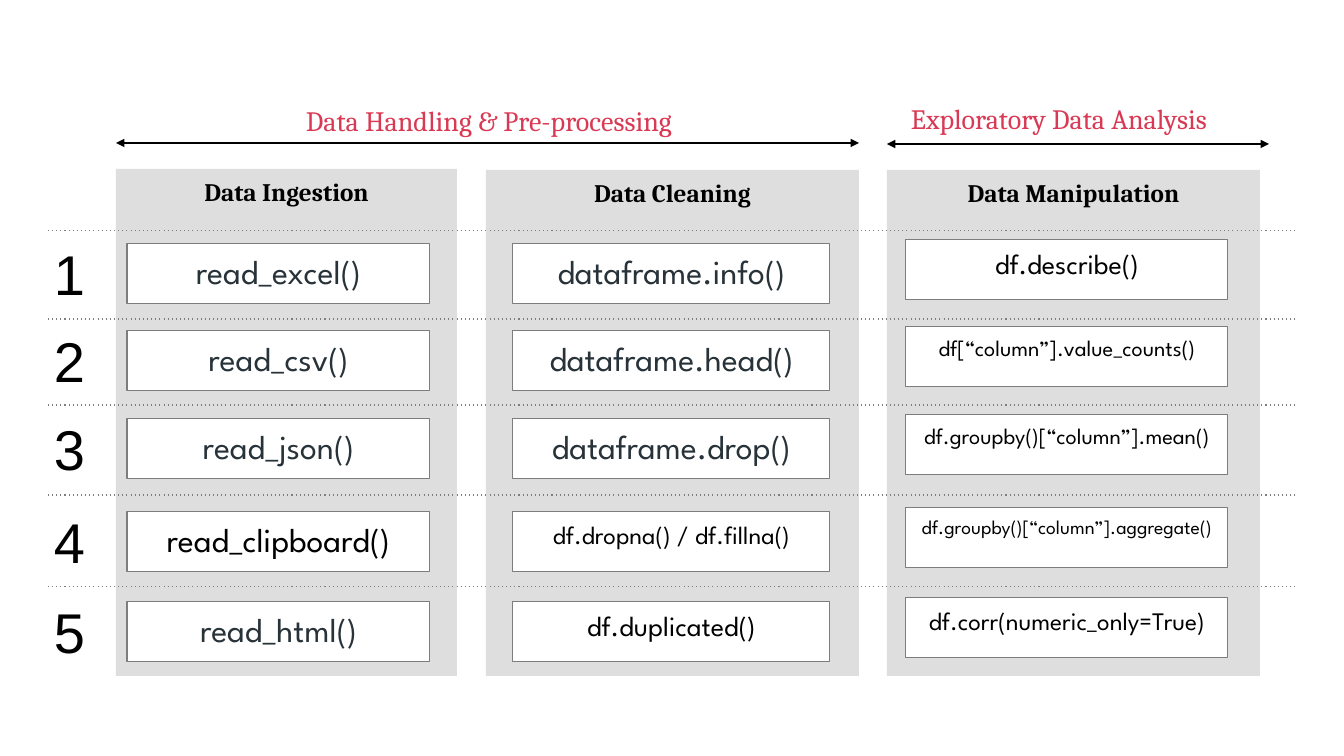
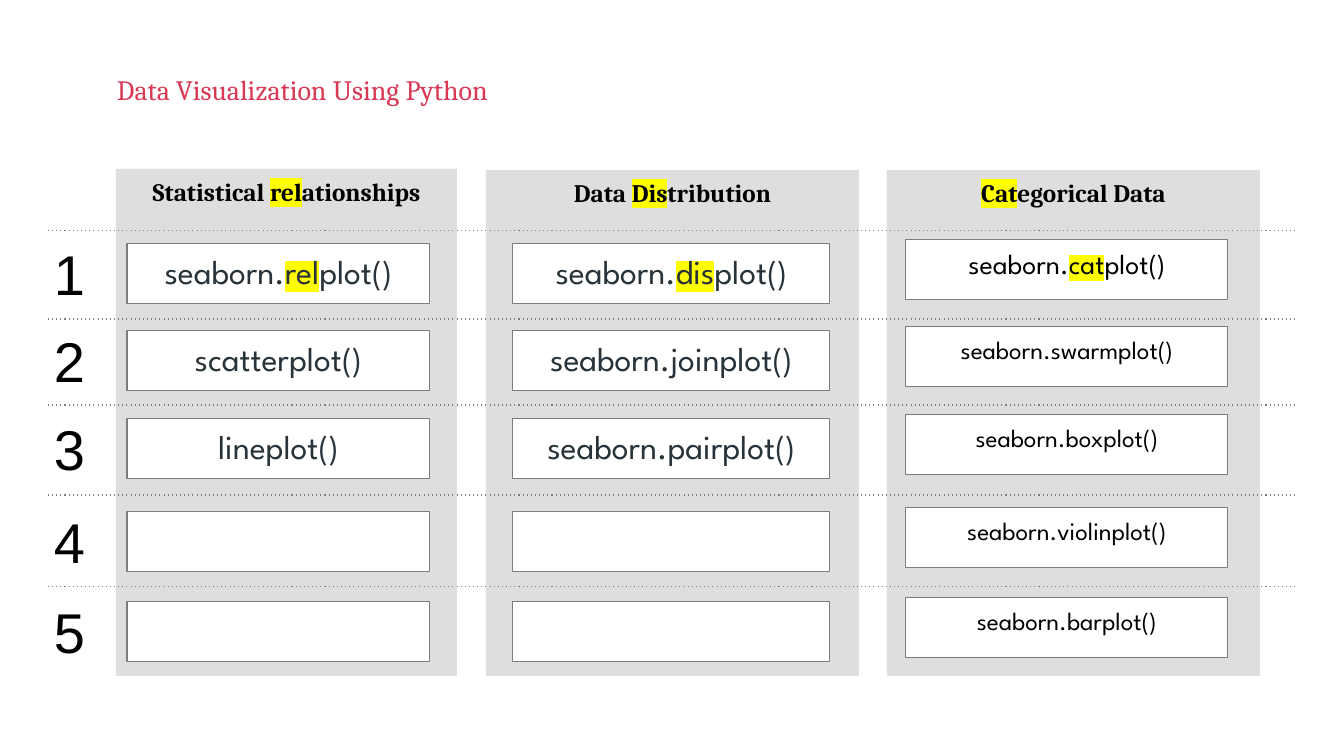
import pptx
import pptx.util
import pptx.dml.color
import pptx.enum.shapes
import pptx.enum.text
import pptx.oxml
import pptx.oxml.ns
import lxml.etree

SCALE = 914400 / 100.8
RED, BLACK, SLATE = "D93954", "000000", "273239"
GREY, WHITE, EDGE, YELLOW = "DEDEDE", "FFFFFF", "7D7D7D", "FFFF00"
CENTER = pptx.enum.text.PP_ALIGN.CENTER
LEFT = pptx.enum.text.PP_ALIGN.LEFT
TOP = pptx.enum.text.MSO_ANCHOR.TOP
MIDDLE = pptx.enum.text.MSO_ANCHOR.MIDDLE

# Shared grid: column panel (left, top, width, height), then cell left, width, lift
COLUMNS = [
    ((116, 169, 341, 507), 127, 303, 0),
    ((486, 170, 373, 506), 513, 317, 0),
    ((887, 170, 373, 506), 906, 322, 4),
]
RULES = [231, 319, 405, 495, 587]
CELL_TOPS = [244, 331, 419, 512, 602]
CELL_HEIGHT = 60
PANEL_INSETS = (7, 7, 7, 3)


def px(n):
    return pptx.util.Emu(round(n * SCALE))


def rgb(colour):
    return pptx.dml.color.RGBColor.from_string(colour)


def assign(obj, values):
    for name, value in values.items():
        setattr(obj, name, value)


def add_xml(parent, tag, **attrs):
    return lxml.etree.SubElement(parent, pptx.oxml.ns.qn(tag), attrs)


class Deck:
    def __init__(self):
        self.prs = pptx.Presentation()
        assign(self.prs, {"slide_width": px(1344), "slide_height": px(756)})

    def new_slide(self):
        self.slide = self.prs.slides.add_slide(self.prs.slide_layouts[5])

    def put_text(self, sp, text, size, font, colour, bold=False, align=CENTER,
                 anchor=TOP, insets=(0, 0, 0, 0), spacing=None):
        """Fill a shape with text; the parts between asterisks are highlighted."""
        tf = sp.text_frame
        sides = ("margin_left", "margin_top", "margin_right", "margin_bottom")
        assign(tf, dict(zip(sides, map(px, insets))))
        assign(tf, {"word_wrap": True, "vertical_anchor": anchor,
                    "auto_size": pptx.enum.text.MSO_AUTO_SIZE.NONE})
        p = tf.paragraphs[0]
        assign(p, {"alignment": align, "line_spacing": spacing})
        for i, part in enumerate(text.split("*")):
            if not part:
                continue
            r = p.add_run()
            r.text = part
            assign(r.font, {"name": font, "size": pptx.util.Pt(size), "bold": bold})
            r.font.color.rgb = rgb(colour)
            if i % 2:
                self.highlight(r)

    def highlight(self, r):
        mark = lxml.etree.Element(pptx.oxml.ns.qn("a:highlight"))
        add_xml(mark, "a:srgbClr", val=YELLOW)
        r.font._element.find(pptx.oxml.ns.qn("a:solidFill")).addnext(mark)

    def textbox(self, box):
        return self.slide.shapes.add_textbox(*map(px, box))

    def heading(self, text, box, align=CENTER, title=True):
        if title:
            sp = self.slide.shapes.title
            assign(sp, dict(zip(("left", "top", "width", "height"), map(px, box))))
        else:
            sp = self.textbox(box)
        self.put_text(sp, text, 20, "Cambria", RED, align=align, spacing=0.85)

    def rect(self, box, fill, edge=None):
        kind = pptx.enum.shapes.MSO_SHAPE.RECTANGLE
        sp = self.slide.shapes.add_shape(kind, *map(px, box))
        sp.shadow.inherit = False
        sp.fill.solid()
        sp.fill.fore_color.rgb = rgb(fill)
        if edge:
            sp.line.color.rgb = rgb(edge)
            sp.line.width = pptx.util.Pt(0.75)
        else:
            sp.line.fill.background()
        return sp

    def panel(self, text, box):
        self.put_text(self.rect(box, GREY), text, 18, "Cambria", BLACK,
                      bold=True, insets=PANEL_INSETS)

    def cell(self, box, text="", size=24, colour=SLATE):
        self.put_text(self.rect(box, WHITE, EDGE), text, size, "League Spartan",
                      colour, insets=PANEL_INSETS)

    def line(self, x1, x2, y, colour, width):
        kind = pptx.enum.shapes.MSO_CONNECTOR.STRAIGHT
        sp = self.slide.shapes.add_connector(kind, px(x1), px(y), px(x2), px(y))
        sp.line.color.rgb = rgb(colour)
        sp.line.width = pptx.util.Pt(width)
        add_xml(sp._element.spPr, "a:effectLst")
        return sp.line._get_or_add_ln()

    def dotted_rule(self, y):
        add_xml(self.line(48, 1295, y, EDGE, 0.75), "a:prstDash", val="dot")

    def span_arrow(self, x1, x2, y):
        ln = self.line(x1, x2, y, BLACK, 1)
        for end in ("a:headEnd", "a:tailEnd"):
            add_xml(ln, end, type="triangle")

    def grid(self, columns):
        # Panels with their cells
        for (name, cells), (box, left, width, lift) in zip(columns, COLUMNS):
            self.panel(name, box)
            for top, content in zip(CELL_TOPS, cells):
                self.cell((left, top - lift, width, CELL_HEIGHT), *content)
        # Row rules and numbers
        for number, (rule, top) in enumerate(zip(RULES, CELL_TOPS), 1):
            self.dotted_rule(rule)
            self.put_text(self.textbox((48, top - 4, 67, 67)), str(number), 40, "Arial",
                          BLACK, align=LEFT, anchor=MIDDLE, insets=(6, 0, 6, 0))


deck = Deck()

# Slide 1: handling and exploring data
deck.new_slide()
deck.heading("Data Handling & Pre-processing", (149, 109, 680, 49))
deck.heading("Exploratory Data Analysis", (831, 107, 456, 49), title=False)
deck.span_arrow(116, 859, 143)
deck.span_arrow(887, 1269, 144)
deck.grid([
    ("Data Ingestion", [
        ("read_excel()",),
        ("read_csv()",),
        ("read_json()",),
        ("read_clipboard()", 24, BLACK),
        ("read_html()",),
    ]),
    ("Data Cleaning", [
        ("dataframe.info()",),
        ("dataframe.head()",),
        ("dataframe.drop()",),
        ("df.dropna() / df.fillna()", 18, BLACK),
        ("df.duplicated()", 20, BLACK),
    ]),
    ("Data Manipulation", [
        ("df.describe()", 20, BLACK),
        ("df[“column”].value_counts()", 16, BLACK),
        ("df.groupby()[“column”].mean()", 16, BLACK),
        ("df.groupby()[“column”].aggregate()", 14, BLACK),
        ("df.corr(numeric_only=True)", 18, BLACK),
    ]),
])

# Slide 2: visualization
deck.new_slide()
deck.heading("Data Visualization Using Python", (117, 78, 680, 49), align=LEFT)
deck.grid([
    ("Statistical *rel*ationships", [
        ("seaborn.*rel*plot()",),
        ("scatterplot()",),
        ("lineplot()",),
        (),
        (),
    ]),
    ("Data *Dis*tribution", [
        ("seaborn.*dis*plot()",),
        ("seaborn.joinplot()",),
        ("seaborn.pairplot()",),
        (),
        (),
    ]),
    ("*Cat*egorical Data", [
        ("seaborn.*cat*plot()", 20, BLACK),
        ("seaborn.swarmplot()", 18, BLACK),
        ("seaborn.boxplot()", 18, BLACK),
        ("seaborn.violinplot()", 18, BLACK),
        ("seaborn.barplot()", 18, BLACK),
    ]),
])

deck.prs.save("out.pptx")
